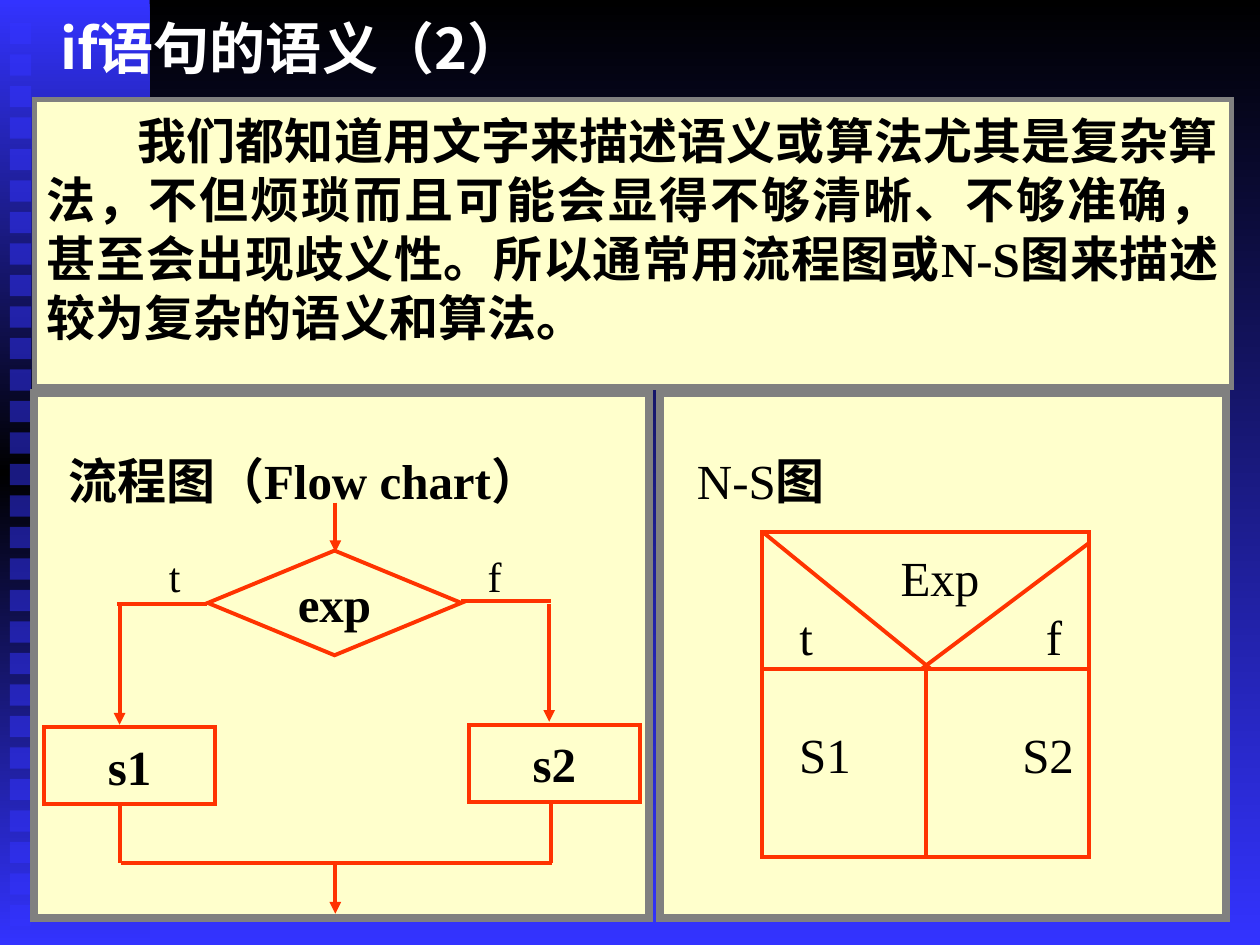
from copy import deepcopy

from lxml.etree import SubElement
from pptx import Presentation
from pptx.dml.color import RGBColor
from pptx.enum.shapes import MSO_CONNECTOR, MSO_SHAPE
from pptx.enum.text import MSO_ANCHOR, MSO_AUTO_SIZE, PP_ALIGN
from pptx.oxml.ns import qn
from pptx.util import Cm, Pt

COLORS = {name: RGBColor.from_string(value) for name, value in {
    "black": "000000", "white": "FFFFFF", "blue": "3333FF",
    "cream": "FFFFCC", "grey": "808080", "red": "FF3300",
}.items()}
LATIN_FONT = "Times New Roman"
CHINESE_FONT = "Noto Sans CJK SC"


def write(paragraph, text, size=28, bold=False, color="black",
          font=LATIN_FONT, align=PP_ALIGN.CENTER, line_height=None):
    paragraph.alignment = align
    if line_height:
        paragraph.line_spacing = Pt(line_height)
    run = paragraph.add_run()
    run.text = text
    run.font.size = Pt(size)
    run.font.bold = bold
    run.font.color.rgb = COLORS[color]
    run.font.name = font
    SubElement(run.font._element, qn("a:ea"), typeface=CHINESE_FONT)


def draw_line(x1, y1, x2, y2, arrow=False):
    connector = slide.shapes.add_connector(
        MSO_CONNECTOR.STRAIGHT, Cm(x1), Cm(y1), Cm(x2), Cm(y2))
    connector.line.color.rgb = COLORS["red"]
    connector.line.width = Pt(2.25)
    if arrow:
        SubElement(connector.element.spPr.get_or_add_ln(), qn("a:tailEnd"), type="triangle")
    SubElement(connector.element.spPr, qn("a:effectLst"))


presentation = Presentation()
presentation.slide_width = Cm(25.4)
presentation.slide_height = Cm(19.05)
slide = presentation.slides.add_slide(presentation.slide_layouts[1])

# Background gradient
background = slide.background.fill
background.gradient()
background.gradient_angle = 270
for stop, color in zip(background.gradient_stops, ("black", "blue")):
    stop.color.rgb = COLORS[color]

# Left rail, blue to black to blue
rail = slide.shapes.add_shape(MSO_SHAPE.RECTANGLE, 0, 0, Cm(3.02), Cm(19.05))
rail.shadow.inherit = False
rail.line.fill.background()
rail.fill.gradient()
rail.fill.gradient_angle = 270
first_stop = rail.element.spPr.find(".//" + qn("a:gs"))
first_stop.addnext(deepcopy(first_stop))
for stop, color, position in zip(rail.fill.gradient_stops, ("blue", "black", "blue"), (0, 0.5, 1)):
    stop.color.rgb = COLORS[color]
    stop.position = position

# Column of half-transparent squares
square_count = 29
for index in range(square_count):
    top = 0.46 + 17.78 * index / (square_count - 1)
    square = slide.shapes.add_shape(
        MSO_SHAPE.RECTANGLE, Cm(0.2), Cm(top), Cm(0.43), Cm(0.43))
    square.shadow.inherit = False
    square.line.fill.background()
    square.fill.solid()
    square.fill.fore_color.rgb = COLORS["blue"]
    SubElement(square.element.spPr.find(".//" + qn("a:srgbClr")), qn("a:alpha"), val="50000")

# Title and body, brought in front of the rail
title, body = slide.placeholders
for placeholder, box in ((title, (0.69, 0, 21.59, 1.9)), (body, (0.69, 2.01, 24.13, 5.79))):
    placeholder.element.getparent().append(placeholder.element)
    placeholder.left, placeholder.top, placeholder.width, placeholder.height = map(Cm, box)
    placeholder.text_frame.auto_size = MSO_AUTO_SIZE.NONE
    placeholder.text_frame.word_wrap = True

title.text_frame.margin_left = Cm(0.52)
title.text_frame.vertical_anchor = MSO_ANCHOR.MIDDLE
write(title.text_frame.paragraphs[0], "if语句的语义（2）", size=32, bold=True,
      color="white", font=CHINESE_FONT, align=PP_ALIGN.LEFT)

body.fill.solid()
body.fill.fore_color.rgb = COLORS["cream"]
body.text_frame.margin_top = Cm(0.22)
body.text_frame.vertical_anchor = MSO_ANCHOR.TOP
paragraph = body.text_frame.paragraphs[0]
properties = paragraph._p.get_or_add_pPr()
properties.set("marL", "0")
properties.set("indent", str(Cm(1.83)))
SubElement(properties, qn("a:buNone"))
paragraph.space_before = Pt(0)
write(paragraph,
      "我们都知道用文字来描述语义或算法尤其是复杂算法，不但烦琐而且可能会显得不够清晰、不够准确，"
      "甚至会出现歧义性。所以通常用流程图或N-S图来描述较为复杂的语义和算法。",
      bold=True, align=PP_ALIGN.JUSTIFY, line_height=33.7)
outlines = [(body, "grey", 3)]

# Two panels with their captions
panels = [
    (0.69, 12.4, 0.69, [("流程图（Flow chart）", True)]),
    (13.31, 11.4, 0.74, [("N-S", False), ("图", True)]),
]
for left, width, inset, caption in panels:
    panel = slide.shapes.add_shape(
        MSO_SHAPE.RECTANGLE, Cm(left), Cm(7.92), Cm(width), Cm(10.59))
    panel.shadow.inherit = False
    panel.fill.solid()
    panel.fill.fore_color.rgb = COLORS["cream"]
    outlines.append((panel, "grey", 4.5))
    frame = panel.text_frame
    frame.vertical_anchor = MSO_ANCHOR.TOP
    frame.margin_left, frame.margin_top = Cm(inset), Cm(1.15)
    for text, bold in caption:
        write(frame.paragraphs[0], text, bold=bold, align=PP_ALIGN.LEFT, line_height=33.7)

# Flow chart nodes and the frame of the N-S diagram
nodes = [
    (MSO_SHAPE.FLOWCHART_DECISION, 4.19, 11.1, 5.11, 2.11, "exp"),
    (MSO_SHAPE.FLOWCHART_PROCESS, 0.89, 14.66, 3.45, 1.55, "s1"),
    (MSO_SHAPE.FLOWCHART_PROCESS, 9.45, 14.61, 3.45, 1.55, "s2"),
    (MSO_SHAPE.RECTANGLE, 15.37, 10.72, 6.58, 6.55, None),
]
for kind, left, top, width, height, text in nodes:
    node = slide.shapes.add_shape(kind, Cm(left), Cm(top), Cm(width), Cm(height))
    node.shadow.inherit = False
    node.fill.background()
    outlines.append((node, "red", 2.25))
    if text:
        node.text_frame.word_wrap = False
        node.text_frame.vertical_anchor = MSO_ANCHOR.MIDDLE
        write(node.text_frame.paragraphs[0], text, bold=True)

# Outlines with sharp corners
for shape, color, width in outlines:
    shape.line.color.rgb = COLORS[color]
    shape.line.width = Pt(width)
    SubElement(shape.element.spPr.get_or_add_ln(), qn("a:miter"), lim="800000")

# Flow chart lines
draw_line(6.76, 10.13, 6.76, 11.13, arrow=True)
draw_line(4.17, 12.17, 2.36, 12.17)
draw_line(2.41, 12.22, 2.41, 14.61, arrow=True)
draw_line(9.3, 12.12, 11.1, 12.12)
draw_line(11.07, 12.17, 11.07, 14.55, arrow=True)
draw_line(2.41, 16.21, 2.41, 17.4)
draw_line(11.1, 16.21, 11.1, 17.4)
draw_line(2.44, 17.4, 11.13, 17.4)
draw_line(6.76, 17.4, 6.76, 18.42, arrow=True)

# N-S diagram lines
draw_line(15.37, 10.72, 18.77, 13.49)
draw_line(21.95, 10.95, 18.57, 13.49)
draw_line(15.37, 13.49, 21.95, 13.49)
draw_line(18.67, 13.49, 18.67, 17.27)

# Labels, placed by their centres
labels = [
    ("t", 3.52, 11.6, 24), ("f", 9.97, 11.6, 24),
    ("Exp", 18.95, 11.63, 28),
    ("t", 16.25, 12.82, 28), ("f", 21.25, 12.82, 28),
    ("S1", 16.63, 15.2, 28), ("S2", 21.13, 15.2, 28),
]
label_width, label_height = 2.6, 1.2
for text, center_x, center_y, size in labels:
    label = slide.shapes.add_textbox(
        Cm(center_x - label_width / 2), Cm(center_y - label_height / 2),
        Cm(label_width), Cm(label_height))
    label.text_frame.word_wrap = True
    label.text_frame.vertical_anchor = MSO_ANCHOR.MIDDLE
    write(label.text_frame.paragraphs[0], text, size=size)

presentation.save("out.pptx")
